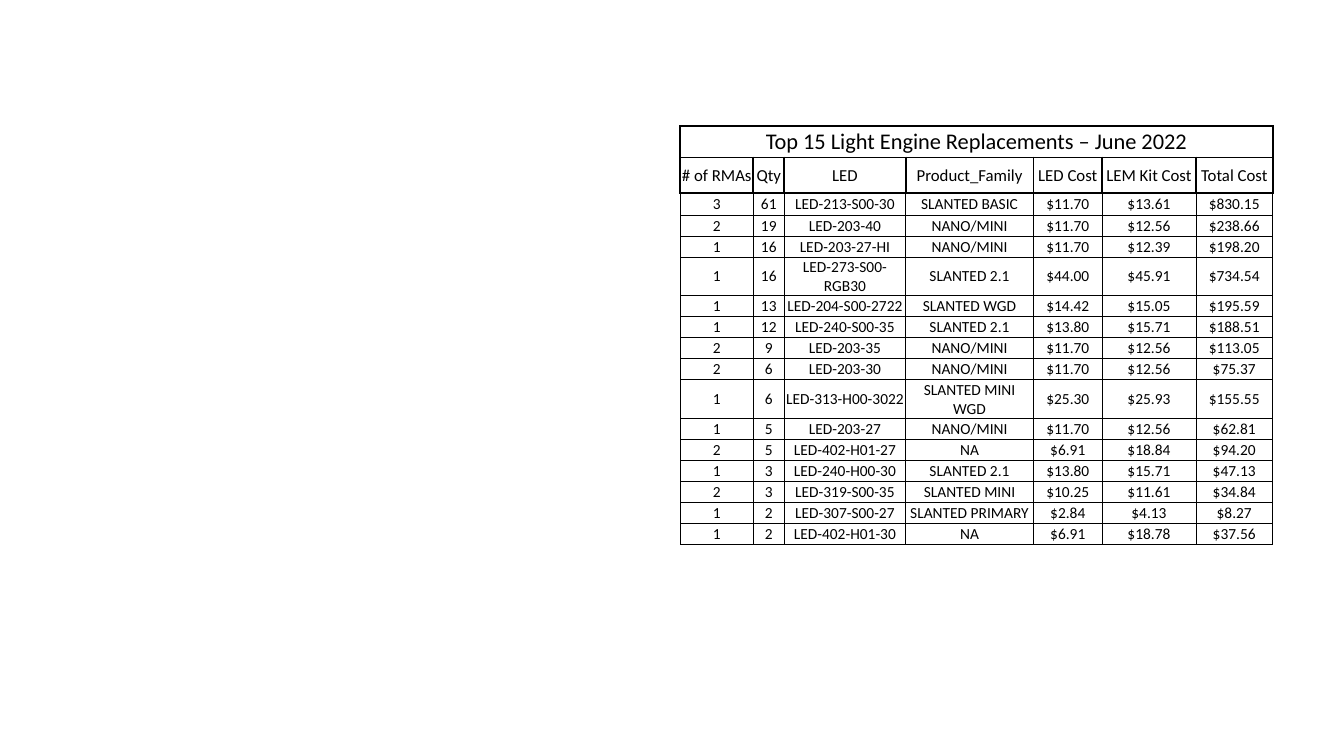
import pptx
import pptx.util
import pptx.dml.color
import pptx.enum.text
import pptx.oxml
from lxml import etree

Pt = pptx.util.Pt
COLORS = {"ink": "000000", "paper": "FFFFFF"}
FONT = "Calibri"

title = "Top 15 Light Engine Replacements – June 2022"
headings = ["# of RMAs", "Qty", "LED", "Product_Family", "LED Cost", "LEM Kit Cost", "Total Cost"]
replacements = [
    ["3", "61", "LED-213-S00-30", "SLANTED BASIC", "$11.70", "$13.61", "$830.15"],
    ["2", "19", "LED-203-40", "NANO/MINI", "$11.70", "$12.56", "$238.66"],
    ["1", "16", "LED-203-27-HI", "NANO/MINI", "$11.70", "$12.39", "$198.20"],
    ["1", "16", "LED-273-S00-RGB30", "SLANTED 2.1", "$44.00", "$45.91", "$734.54"],
    ["1", "13", "LED-204-S00-2722", "SLANTED WGD", "$14.42", "$15.05", "$195.59"],
    ["1", "12", "LED-240-S00-35", "SLANTED 2.1", "$13.80", "$15.71", "$188.51"],
    ["2", "9", "LED-203-35", "NANO/MINI", "$11.70", "$12.56", "$113.05"],
    ["2", "6", "LED-203-30", "NANO/MINI", "$11.70", "$12.56", "$75.37"],
    ["1", "6", "LED-313-H00-3022", "SLANTED MINI WGD", "$25.30", "$25.93", "$155.55"],
    ["1", "5", "LED-203-27", "NANO/MINI", "$11.70", "$12.56", "$62.81"],
    ["2", "5", "LED-402-H01-27", "NA", "$6.91", "$18.84", "$94.20"],
    ["1", "3", "LED-240-H00-30", "SLANTED 2.1", "$13.80", "$15.71", "$47.13"],
    ["2", "3", "LED-319-S00-35", "SLANTED MINI", "$10.25", "$11.61", "$34.84"],
    ["1", "2", "LED-307-S00-27", "SLANTED PRIMARY", "$2.84", "$4.13", "$8.27"],
    ["1", "2", "LED-402-H01-30", "NA", "$6.91", "$18.78", "$37.56"],
]
rows = [[title] + [""] * (len(headings) - 1), headings] + replacements
column_widths = [52, 22.3, 86.6, 91.4, 49, 67, 54.8]
row_heights = [22.5, 25.2, 15.8] + [15] * (len(replacements) - 1)
text_sizes = [16, 12] + [11] * len(replacements)


def add_border(cell, side, width):
    line = etree.SubElement(cell._tc.get_or_add_tcPr(), pptx.oxml.ns.qn("a:" + side), w=str(Pt(width)))
    fill = etree.SubElement(line, pptx.oxml.ns.qn("a:solidFill"))
    etree.SubElement(fill, pptx.oxml.ns.qn("a:srgbClr"), val=COLORS["ink"])


presentation = pptx.Presentation()
presentation.slide_width = Pt(960)
presentation.slide_height = Pt(540)
slide = presentation.slides.add_slide(presentation.slide_layouts[6])

frame = slide.shapes.add_table(
    len(rows), len(headings), Pt(486), Pt(90), Pt(sum(column_widths)), Pt(sum(row_heights)))
table = frame.table
table.first_row = False
table.horz_banding = False
for column, width in zip(table.columns, column_widths):
    column.width = Pt(width)
for row, height in zip(table.rows, row_heights):
    row.height = Pt(height)
table.cell(0, 0).merge(table.cell(0, len(headings) - 1))

for row_index, values in enumerate(rows):
    for column_index, value in enumerate(values):
        cell = table.cell(row_index, column_index)
        cell.margin_left = cell.margin_right = cell.margin_top = Pt(0.5)
        cell.margin_bottom = Pt(0)
        cell.vertical_anchor = pptx.enum.text.MSO_ANCHOR.MIDDLE
        for side in ("lnL", "lnR", "lnT", "lnB"):
            thick = row_index < 2 or (row_index == 2 and side == "lnT")
            add_border(cell, side, 1.5 if thick else 0.5)
        cell.fill.solid()
        cell.fill.fore_color.rgb = pptx.dml.color.RGBColor.from_string(COLORS["paper"])
        if value:
            paragraph = cell.text_frame.paragraphs[0]
            paragraph.alignment = pptx.enum.text.PP_ALIGN.CENTER
            run = paragraph.add_run()
            run.text = value
            run.font.name = FONT
            run.font.size = Pt(text_sizes[row_index])
            run.font.color.rgb = pptx.dml.color.RGBColor.from_string(COLORS["ink"])

presentation.save("out.pptx")
